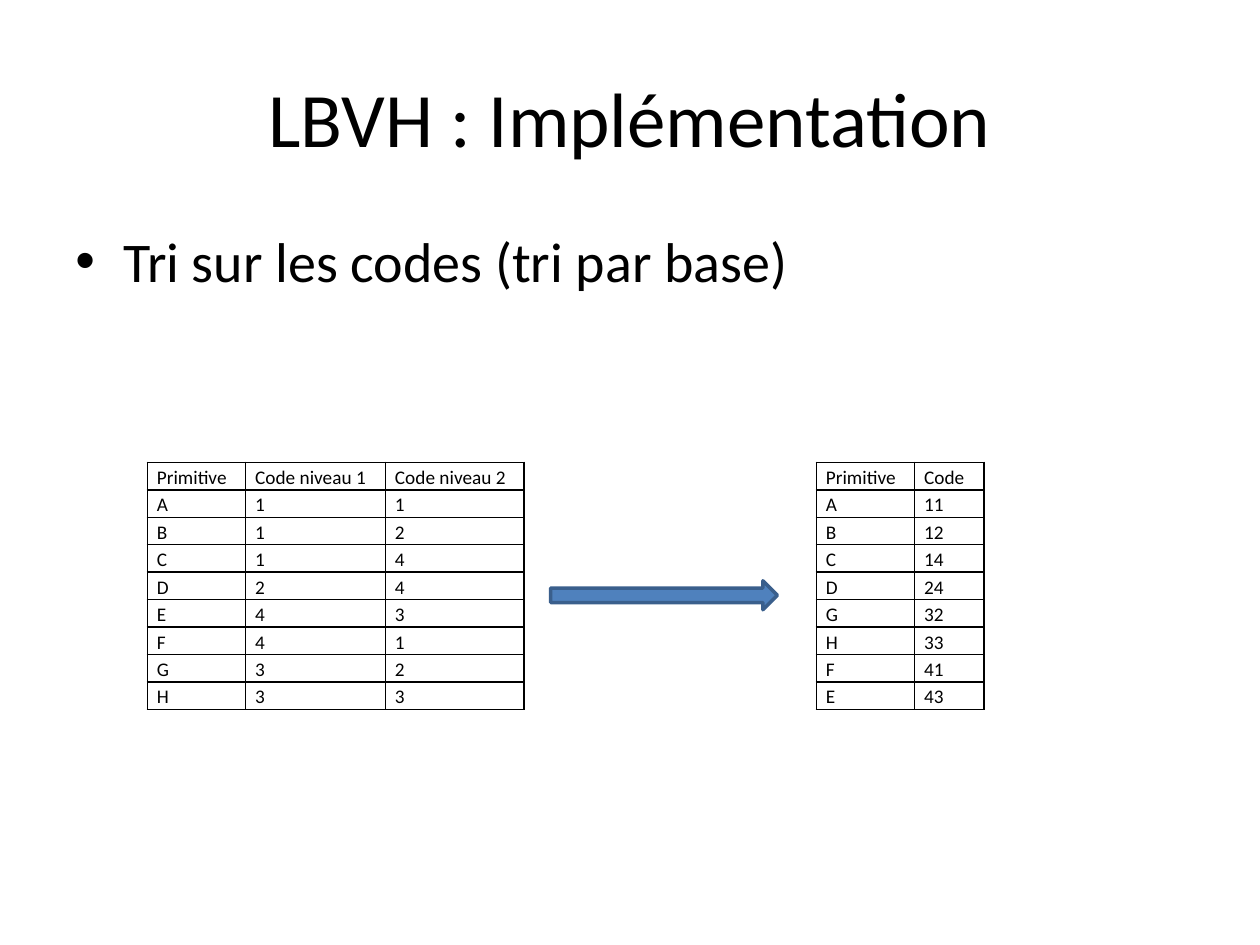
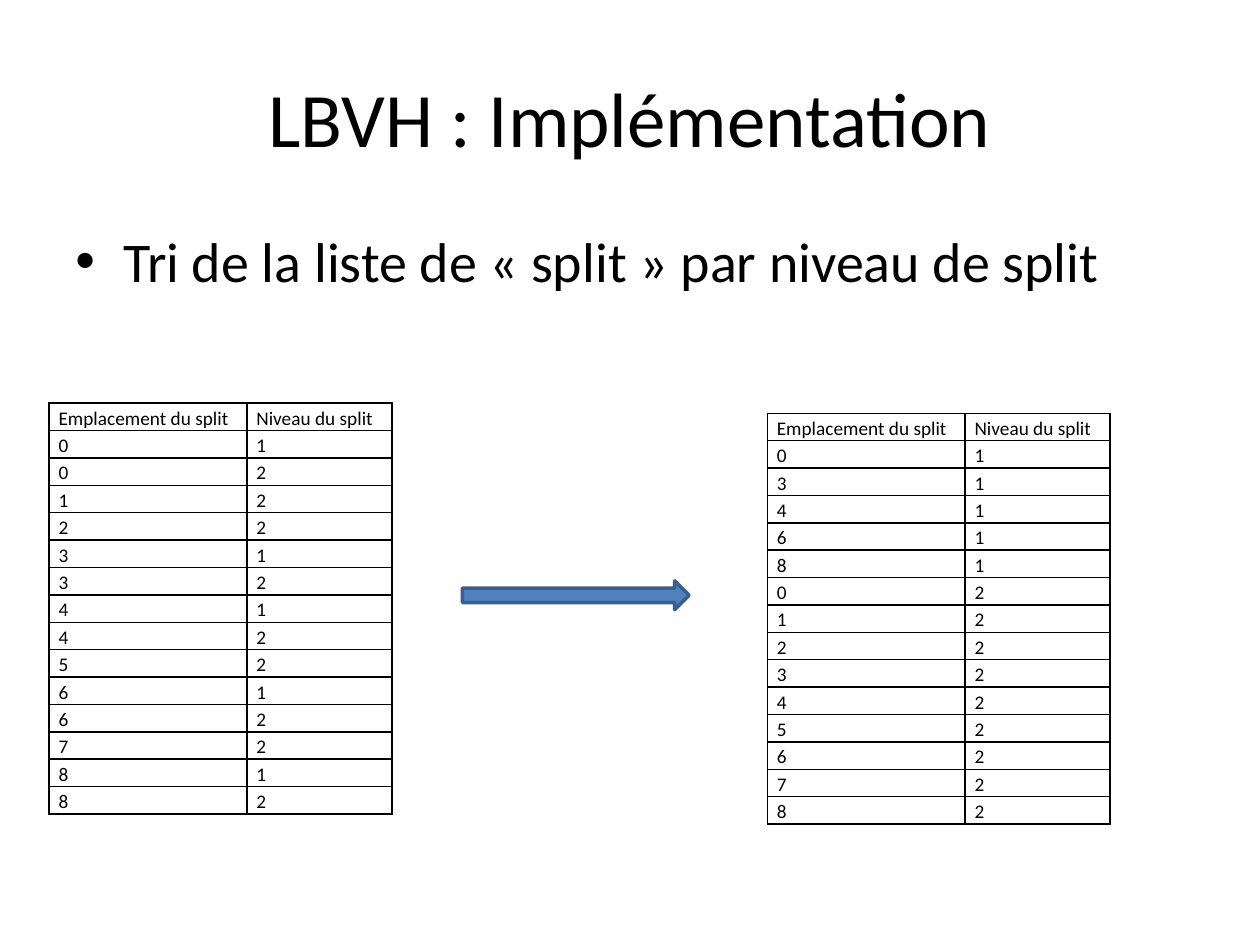
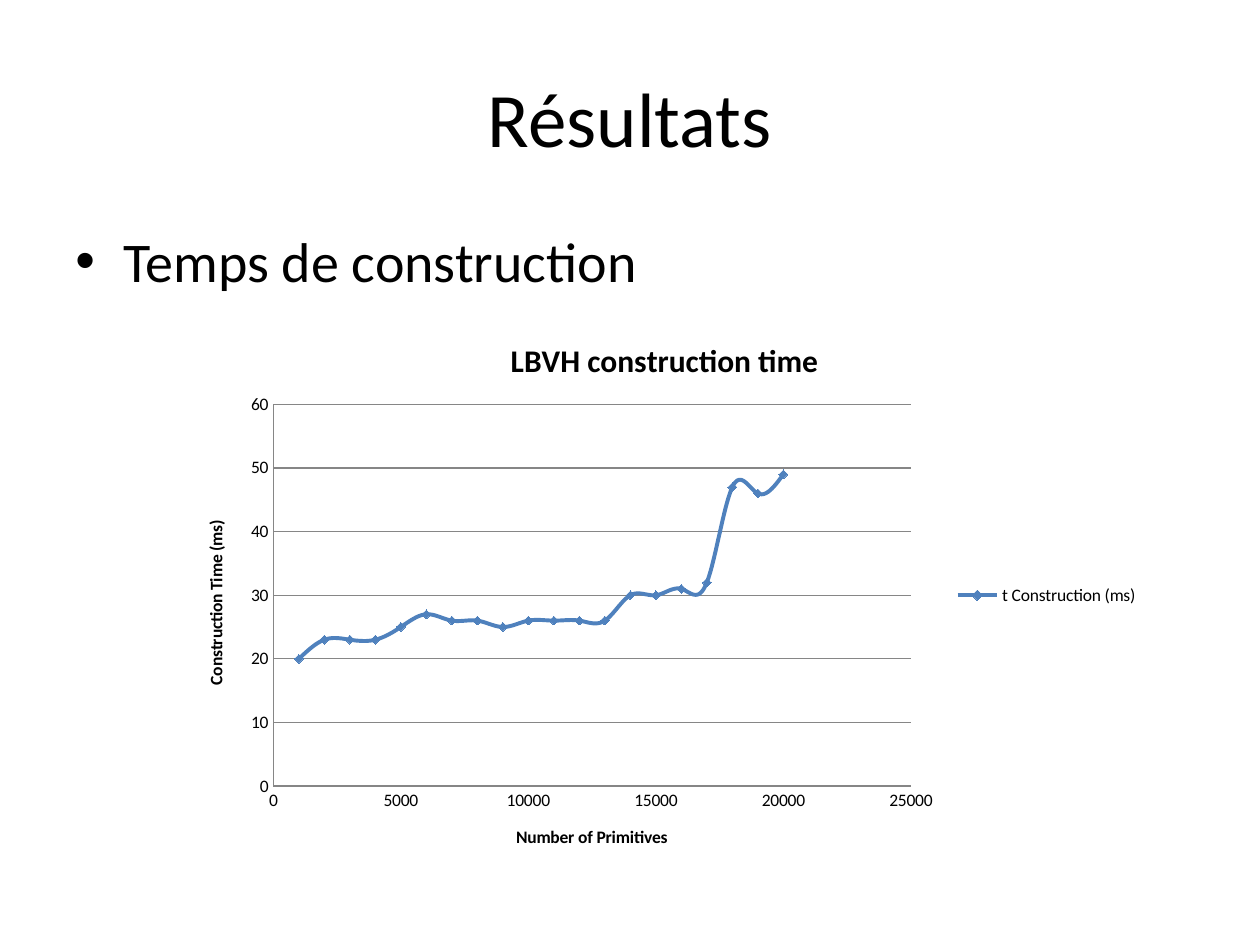
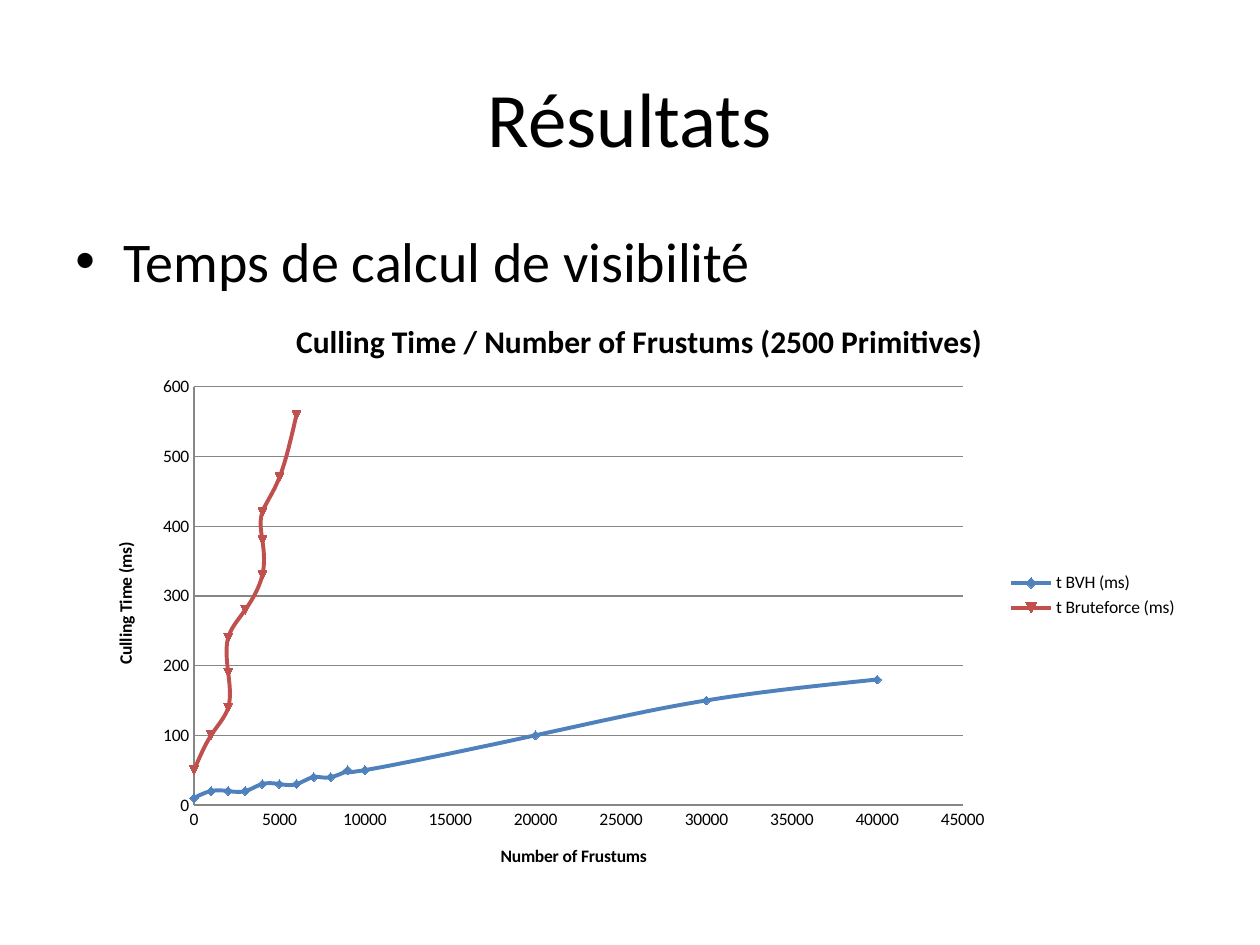
from lxml import etree
from pptx import Presentation
from pptx.chart.data import XyChartData
from pptx.dml.color import RGBColor
from pptx.enum.chart import XL_CHART_TYPE, XL_LEGEND_POSITION, XL_TICK_MARK
from pptx.enum.shapes import MSO_SHAPE
from pptx.enum.text import MSO_ANCHOR, PP_ALIGN
from pptx.oxml.ns import qn
from pptx.util import Inches, Pt

SCATTER = XL_CHART_TYPE.XY_SCATTER_SMOOTH
LEGEND_RIGHT = XL_LEGEND_POSITION.RIGHT
NO_TICK = XL_TICK_MARK.NONE
RIGHT_ARROW = MSO_SHAPE.RIGHT_ARROW
MIDDLE = MSO_ANCHOR.MIDDLE
CENTER = PP_ALIGN.CENTER

FONT = "Calibri"
BLACK = RGBColor(0x00, 0x00, 0x00)
BLUE = RGBColor(0x4F, 0x81, 0xBD)
DARK_BLUE = RGBColor(0x3A, 0x5F, 0x8C)
RED = RGBColor(0xC0, 0x50, 0x4D)
GREY = RGBColor(0x86, 0x86, 0x86)

CODES = [("Primitive", "Code niveau 1", "Code niveau 2")] + [
    tuple(row) for row in "A11 B12 C14 D24 E43 F41 G32 H33".split()]
SORTED_CODES = [("Primitive", "Code")] + [
    (row[0], row[1:]) for row in "A11 B12 C14 D24 G32 H33 F41 E43".split()]
SPLIT_HEADER = ("Emplacement du split", "Niveau du split")
SPLITS = "01 02 12 22 31 32 41 42 52 61 62 72 81 82".split()
SORTED_SPLITS = sorted(SPLITS, key=lambda split: split[1])

PRIMITIVES = range(1000, 21000, 1000)
CONSTRUCTION = [20, 23, 23, 23, 25, 27, 26, 26, 25, 26,
                26, 26, 26, 30, 30, 31, 32, 47, 46, 49]
FRUSTUMS = [0, 1000, 2000, 2000, 2000, 3000, 4000, 4000, 4000, 5000,
            6000, 7000, 8000, 9000, 10000, 20000, 30000, 40000]
BVH = [10, 20, 20, 20, 20, 20, 30, 30, 30, 30, 30, 40, 40, 50, 50, 100, 150, 180]
BRUTEFORCE = [50, 100, 140, 190, 240, 280, 330, 380, 420, 470, 560]


def set_font(font, size, bold=False):
    font.name = FONT
    font.size = Pt(size)
    font.bold = bold
    font.color.rgb = BLACK


def add_text(s, text, top, height, size):
    box = s.shapes.add_textbox(Inches(0.5), Inches(top), Inches(9), Inches(height))
    tf = box.text_frame
    tf.word_wrap = True
    tf.text = text
    p = tf.paragraphs[0]
    set_font(p.runs[0].font, size)
    return tf, p


def add_slide(prs, title, bullet):
    s = prs.slides.add_slide(prs.slide_layouts[6])
    tf, p = add_text(s, title, 0.3, 1.25, 44)
    tf.vertical_anchor = MIDDLE
    p.alignment = CENTER
    tf, p = add_text(s, bullet, 1.75, 4.95, 32)
    p.space_before = Pt(6.4)
    pPr = p._p.get_or_add_pPr()
    pPr.set("marL", str(Inches(0.38)))
    pPr.set("indent", str(Inches(-0.38)))
    etree.SubElement(pPr, qn("a:buFont")).set("typeface", "Arial")
    etree.SubElement(pPr, qn("a:buChar")).set("char", "•")
    return s


def add_borders(cell):
    tcPr = cell._tc.get_or_add_tcPr()
    for i, side in enumerate(("a:lnL", "a:lnR", "a:lnT", "a:lnB")):
        ln = etree.Element(qn(side), w=str(Pt(1)))
        fill = etree.SubElement(ln, qn("a:solidFill"))
        etree.SubElement(fill, qn("a:srgbClr")).set("val", str(BLACK))
        tcPr.insert(i, ln)


def fill_cell(cell, text):
    cell.margin_left = cell.margin_right = Inches(0.075)
    cell.margin_top = cell.margin_bottom = 0
    cell.fill.background()
    cell.text = text
    p = cell.text_frame.paragraphs[0]
    p.line_spacing = 1.15
    set_font(p.runs[0].font, 11)
    add_borders(cell)


def add_grid(s, left, top, widths, height, rows):
    frame = s.shapes.add_table(len(rows), len(widths), Inches(left), Inches(top),
                               Inches(sum(widths)), Inches(height))
    table = frame.table
    table.first_row = table.horz_banding = False
    for column, width in zip(table.columns, widths):
        column.width = Inches(width)
    for r, row in enumerate(rows):
        table.rows[r].height = Inches(height / len(rows))
        for c, text in enumerate(row):
            fill_cell(table.cell(r, c), text)


def add_arrow(s, left):
    sp = s.shapes.add_shape(RIGHT_ARROW, Inches(left), Inches(4.61),
                            Inches(1.8), Inches(0.23))
    sp.shadow.inherit = False
    sp.fill.solid()
    sp.fill.fore_color.rgb = BLUE
    sp.line.color.rgb = DARK_BLUE
    sp.line.width = Pt(2)


def set_title(owner, text, size):
    tf = owner.text_frame
    tf.text = text
    set_font(tf.paragraphs[0].runs[0].font, size, bold=True)


def format_line(line):
    line.color.rgb = GREY
    line.width = Pt(0.75)


def format_axis(axis, title, maximum, step):
    set_title(axis.axis_title, title, 10)
    axis.minimum_scale = 0
    axis.maximum_scale = maximum
    axis.major_unit = step
    axis.major_tick_mark = axis.minor_tick_mark = NO_TICK
    axis.tick_labels.number_format = "General"
    axis.tick_labels.number_format_is_linked = False
    axis.has_major_gridlines = False
    format_line(axis.format.line)


def place_plot(chart, box, plot_box):
    left, top, width, height = box
    x, y, w, h = plot_box
    area = chart._chartSpace.xpath("c:chart/c:plotArea")[0]
    for old in area.findall(qn("c:layout")):
        area.remove(old)
    layout = etree.Element(qn("c:layout"))
    area.insert(0, layout)
    manual = etree.SubElement(layout, qn("c:manualLayout"))
    settings = {"layoutTarget": "inner", "xMode": "edge", "yMode": "edge",
                "x": (x - left) / width, "y": (y - top) / height,
                "w": w / width, "h": h / height}
    for tag, value in settings.items():
        etree.SubElement(manual, qn("c:" + tag)).set("val", str(value))


def add_scatter(s, box, plot_box, title, x_axis, y_axis, x_values, curves):
    data = XyChartData()
    for name, y_values, _ in curves:
        series = data.add_series(name)
        for x, y in zip(x_values, y_values):
            series.add_data_point(x, y)
    chart = s.shapes.add_chart(SCATTER, *map(Inches, box), data).chart
    set_font(chart.font, 10)
    set_title(chart.chart_title, title, 18)
    chart.has_legend = True
    chart.legend.position = LEGEND_RIGHT
    chart.legend.include_in_layout = False
    format_axis(chart.category_axis, *x_axis)
    format_axis(chart.value_axis, *y_axis)
    chart.value_axis.has_major_gridlines = True
    format_line(chart.value_axis.major_gridlines.format.line)
    place_plot(chart, box, plot_box)
    plot = chart.plots[0]
    plot.vary_by_categories = False
    for series, (_, _, color) in zip(plot.series, curves):
        series._element.xpath("c:smooth")[0].set("val", "1")
        series.format.line.color.rgb = color
        series.format.line.width = Pt(2.25)
        series.marker.format.fill.solid()
        series.marker.format.fill.fore_color.rgb = color
        series.marker.format.line.color.rgb = color


def main():
    prs = Presentation()
    prs.slide_width = Inches(10)
    prs.slide_height = Inches(7.5)

    s = add_slide(prs, "LBVH : Implémentation", "Tri sur les codes (tri par base)")
    add_grid(s, 1.17, 3.67, (0.78, 1.11, 1.1), 1.96, CODES)
    add_grid(s, 6.48, 3.67, (0.78, 0.55), 1.96, SORTED_CODES)
    add_arrow(s, 4.37)

    s = add_slide(prs, "LBVH : Implémentation",
                  "Tri de la liste de « split » par niveau de split")
    add_arrow(s, 3.67)
    for left, top, splits in ((0.39, 3.2, SPLITS), (6.09, 3.28, SORTED_SPLITS)):
        add_grid(s, left, top, (1.57, 1.15), 3.26, [SPLIT_HEADER, *splits])

    s = add_slide(prs, "Résultats", "Temps de construction")
    add_scatter(s, (1.41, 2.5, 7.73, 4.45), (2.17, 3.21, 5.06, 3.03),
                "LBVH construction time",
                ("Number of Primitives", 25000, 5000),
                ("Construction Time (ms)", 60, 10),
                PRIMITIVES, [("t Construction (ms)", CONSTRUCTION, BLUE)])

    s = add_slide(prs, "Résultats", "Temps de calcul de visibilité")
    add_scatter(s, (0.7, 2.34, 8.75, 4.77), (1.54, 3.07, 6.1, 3.32),
                "Culling Time / Number of Frustums (2500 Primitives)",
                ("Number of Frustums", 45000, 5000),
                ("Culling Time (ms)", 600, 100),
                FRUSTUMS, [("t BVH (ms)", BVH, BLUE),
                           ("t Bruteforce (ms)", BRUTEFORCE, RED)])

    prs.save("out.pptx")


if __name__ == "__main__":
    main()
